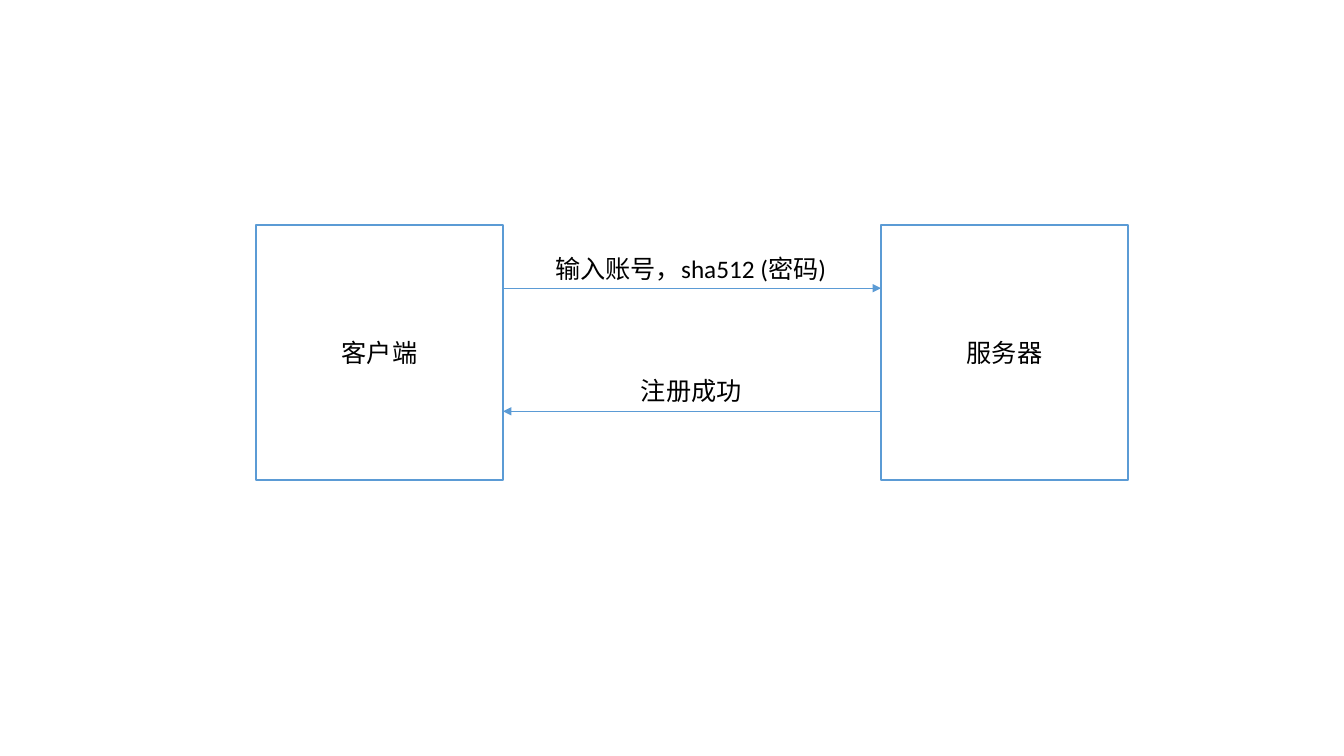
"""Draws the registration exchange between a client and a server."""
from dataclasses import dataclass

from lxml import etree
from pptx import Presentation
from pptx import util as u
from pptx.dml.color import RGBColor
from pptx.enum import shapes, text
from pptx.oxml.ns import qn


@dataclass(frozen=True)
class Theme:
    font: str = "Calibri"
    size: float = 18
    ink: RGBColor = RGBColor(0, 0, 0)
    paper: RGBColor = RGBColor(255, 255, 255)
    accent: RGBColor = RGBColor(0x5B, 0x9B, 0xD5)
    border: float = 1
    arrow: float = 0.5


def write(frame, words, theme, align=text.PP_ALIGN.LEFT, anchor=text.MSO_ANCHOR.TOP, wrap=True):
    frame.word_wrap = wrap
    frame.vertical_anchor = anchor
    para = frame.paragraphs[0]
    para.alignment = align
    span = para.add_run()
    span.text = words
    span.font.name = theme.font
    span.font.size = u.Pt(theme.size)
    span.font.color.rgb = theme.ink


class Diagram:
    def __init__(self, page, theme):
        self.page = page
        self.theme = theme

    def party(self, words, left, top, width, height):
        box = self.page.shapes.add_shape(
            shapes.MSO_SHAPE.RECTANGLE, *map(u.Pt, (left, top, width, height)))
        box.shadow.inherit = False
        box.fill.solid()
        box.fill.fore_color.rgb = self.theme.paper
        box.line.color.rgb = self.theme.accent
        box.line.width = u.Pt(self.theme.border)
        write(box.text_frame, words, self.theme,
              align=text.PP_ALIGN.CENTER, anchor=text.MSO_ANCHOR.MIDDLE)

    def arrow(self, start, end, height):
        line = self.page.shapes.add_connector(
            shapes.MSO_CONNECTOR.STRAIGHT, *map(u.Pt, (start, height, end, height)))
        line.line.color.rgb = self.theme.accent
        line.line.width = u.Pt(self.theme.arrow)
        etree.SubElement(line.line._get_or_add_ln(), qn("a:tailEnd"), type="triangle")
        etree.SubElement(line._element.spPr, qn("a:effectLst"))

    def label(self, words, left, top, width, height, wrap=True):
        box = self.page.shapes.add_textbox(*map(u.Pt, (left, top, width, height)))
        write(box.text_frame, words, self.theme, wrap=wrap)


def main():
    deck = Presentation()
    deck.slide_width, deck.slide_height = u.Pt(960), u.Pt(540)
    diagram = Diagram(deck.slides.add_slide(deck.slide_layouts[6]), Theme())

    client, server, top, width, height = 182.9, 629.3, 160.6, 176.4, 182.2
    client_edge = client + width
    for words, left in (("客户端", client), ("服务器", server)):
        diagram.party(words, left, top, width, height)

    diagram.arrow(client_edge, server, 205.9)
    diagram.arrow(server, client_edge, 293.8)

    diagram.label("输入账号，sha512 (密码)", 389.5, 177.1, 210, 29)
    diagram.label("注册成功", 450.7, 264.3, 87.1, 29, wrap=False)
    deck.save("out.pptx")


if __name__ == "__main__":
    main()
